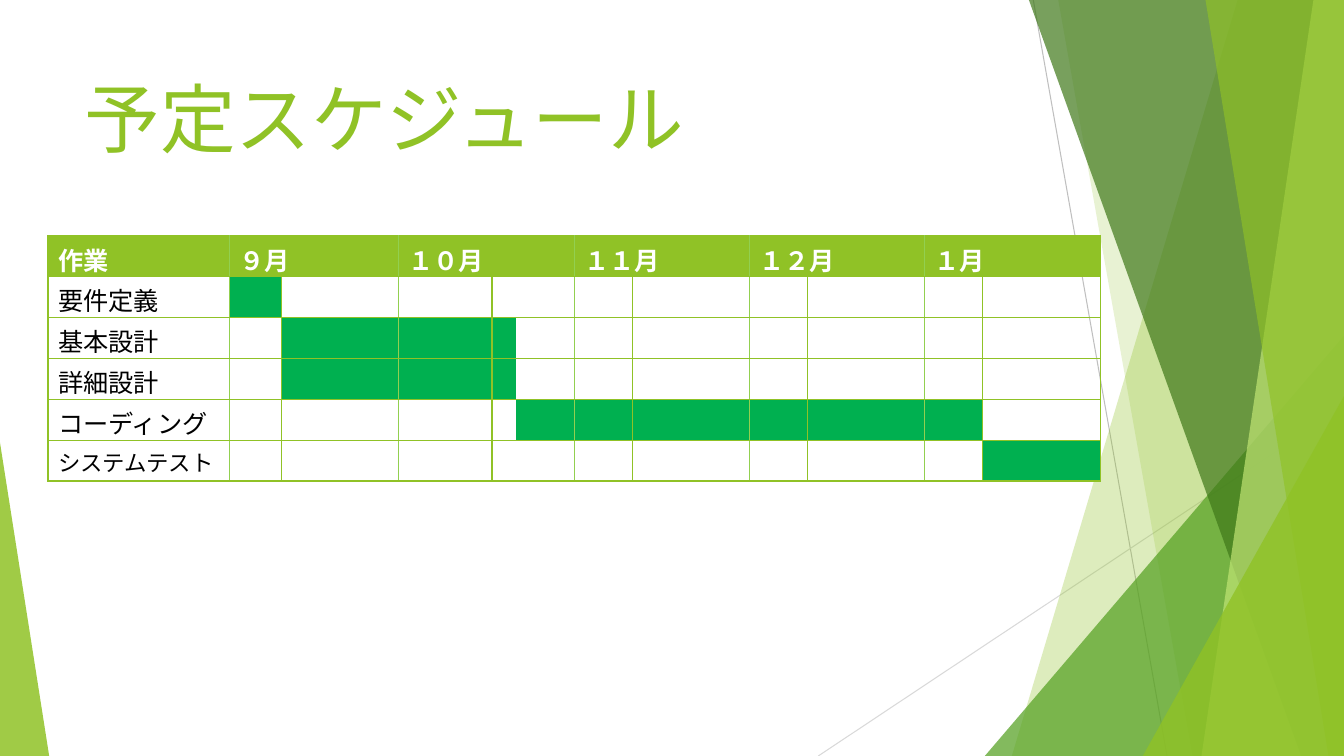
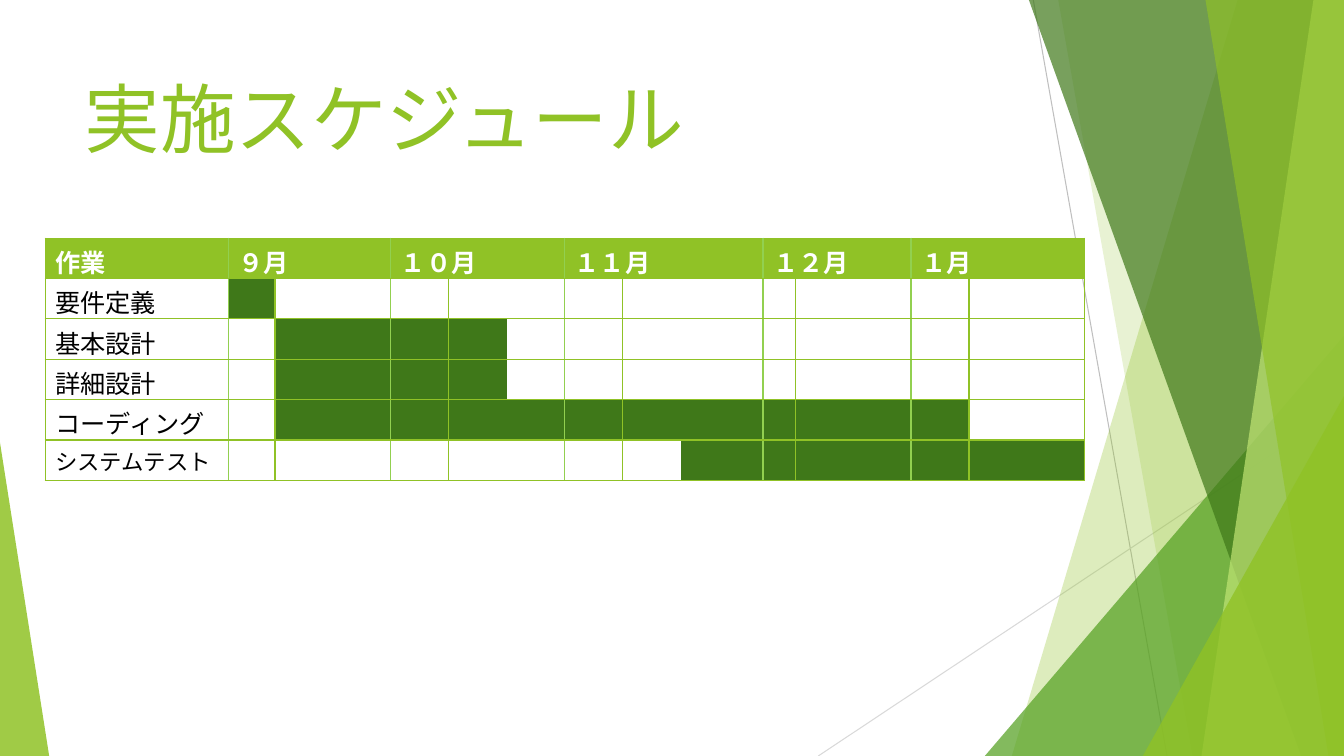
from lxml import etree
from pptx import Presentation
from pptx.dml.color import RGBColor
from pptx.enum.lang import MSO_LANGUAGE_ID
from pptx.enum.shapes import MSO_CONNECTOR, MSO_SHAPE
from pptx.enum.text import MSO_ANCHOR
from pptx.oxml.ns import qn
from pptx.util import Cm, Pt

STRAIGHT = MSO_CONNECTOR.STRAIGHT
TRIANGLE = MSO_SHAPE.ISOSCELES_TRIANGLE
TOP = MSO_ANCHOR.TOP
JAPANESE = MSO_LANGUAGE_ID.JAPANESE

LIME = RGBColor(0x90, 0xC2, 0x26)
GREEN = RGBColor(0x54, 0xA0, 0x21)
DARK_GREEN = RGBColor(0x3F, 0x78, 0x19)
PALE_LIME = RGBColor(0xC0, 0xE4, 0x74)
MONTH_LINE = RGBColor(0x92, 0xD0, 0x50)
PLAN_BAR = RGBColor(0x00, 0xB0, 0x50)
GRAY = RGBColor(0xBF, 0xBF, 0xBF)
LIGHT_GRAY = RGBColor(0xD9, 0xD9, 0xD9)
WHITE = RGBColor(0xFF, 0xFF, 0xFF)
BLACK = RGBColor(0x00, 0x00, 0x00)

FONT = "Noto Sans"
WIDTH, HEIGHT = 33.87, 19.05
MONTHS = ["９月", "１０月", "１１月", "１２月", "１月"]
PARTS = 3  # columns in a month
TASKS = [("要件定義", 18), ("基本設計", 18), ("詳細設計", 18),
         ("コーディング", 18), ("システムテスト", 16)]


class Deck:
    """Holds the shared style and the current slide."""

    def __init__(self):
        """Start a widescreen presentation."""
        self.prs = Presentation()
        self.prs.slide_width, self.prs.slide_height = Cm(WIDTH), Cm(HEIGHT)
        self.slide = None

    def new_slide(self, title):
        """Add a slide with the shared facets and a title."""
        self.slide = self.prs.slides.add_slide(self.prs.slide_layouts[6])
        self.facets()
        self.title(title)

    def facets(self):
        """Draw the overlapping facets, back to front."""
        self.line(26.04, 0, 29.41, HEIGHT, GRAY)
        self.line(WIDTH, 10.24, 20.62, HEIGHT, LIGHT_GRAY)
        self.band(31.19, 25.5, LIME, 30)
        self.band(26.67, 30.05, LIME, 20)
        self.triangle(24.82, 8.46, 9.05, 1, GREEN, 72)
        self.band(25.93, 32.79, DARK_GREEN, 70)
        self.band(33.1, 30.28, PALE_LIME, 70)
        self.band(30.38, 33.48, LIME, 65)
        self.triangle(28.8, 9.98, 5.07, 1, LIME, 80)
        self.triangle(0, 11.15, 1.24, 0, LIME, 85)

    def line(self, x1, y1, x2, y2, color):
        """Draw a thin straight line."""
        line = self.slide.shapes.add_connector(
            STRAIGHT, Cm(x1), Cm(y1), Cm(x2), Cm(y2))
        line.line.color.rgb, line.line.width = color, Pt(0.75)
        etree.SubElement(line._element.spPr, qn("a:effectLst"))

    def band(self, top_x, bottom_x, color, opacity):
        """Fill from a slanted left edge to the right side of the slide."""
        outline = self.slide.shapes.build_freeform(Cm(top_x), Cm(0))
        outline.add_line_segments([(Cm(WIDTH), Cm(0)), (Cm(WIDTH), Cm(HEIGHT)),
                                   (Cm(bottom_x), Cm(HEIGHT))])
        self.paint(outline.convert_to_shape(), color, opacity)

    def triangle(self, left, top, width, apex, color, opacity):
        """Draw a triangle that stands on the bottom of the slide."""
        facet = self.slide.shapes.add_shape(
            TRIANGLE, Cm(left), Cm(top), Cm(width), Cm(HEIGHT - top))
        facet.adjustments[0] = apex
        self.paint(facet, color, opacity)

    def paint(self, facet, color, opacity):
        """Give a facet a translucent fill, no line and no shadow."""
        facet.shadow.inherit = False
        facet.line.fill.background()
        facet.fill.solid()
        facet.fill.fore_color.rgb = color
        tint = facet._element.spPr.find(qn("a:solidFill"))[0]
        etree.SubElement(tint, qn("a:alpha"), val=str(opacity * 1000))

    def add_text(self, frame, text, size, color, bold=False):
        """Add a run to the first paragraph of a text frame."""
        run = frame.paragraphs[0].add_run()
        run.text = text
        font = run.font
        font.name, font.size, font.bold = FONT, Pt(size), bold
        font.color.rgb, font.language_id = color, JAPANESE

    def title(self, text):
        """Add the slide title."""
        frame = self.slide.shapes.add_textbox(
            Cm(1.88), Cm(1.7), Cm(23.88), Cm(3.66)).text_frame
        frame.word_wrap, frame.vertical_anchor = True, TOP
        self.add_text(frame, text, 54, LIME)

    def border(self, cell, side, color):
        """Set one side of a cell; a color of None leaves it unruled."""
        edge = etree.SubElement(cell._tc.get_or_add_tcPr(),
                                qn(f"a:ln{side}"), w=str(Pt(1)))
        if color is None:
            etree.SubElement(edge, qn("a:noFill"))
        else:
            fill = etree.SubElement(edge, qn("a:solidFill"))
            etree.SubElement(fill, qn("a:srgbClr"), val=str(color))

    def edge_color(self, edge, edges):
        """Color of the vertical rule at a column edge, counted from the left."""
        if edge in (0, edges):
            return LIME
        part = (edge - 1) % PARTS
        return (MONTH_LINE, LIME, None)[part]

    def schedule(self, left, top, row_height, widths, bars, bar_color):
        """Add the schedule table; bars give first and last column per task."""
        rows, columns = len(TASKS) + 1, len(widths)
        table = self.slide.shapes.add_table(
            rows, columns, Cm(left), Cm(top), Cm(sum(widths)),
            Cm(row_height * rows)).table
        table.first_row = table.horz_banding = False
        for column, width in zip(table.columns, widths):
            column.width = Cm(width)
        for row in range(rows):
            first, last = bars[row - 1] if row else (0, columns)
            for column in range(columns):
                cell = table.cell(row, column)
                self.border(cell, "L", self.edge_color(column, columns))
                self.border(cell, "R", self.edge_color(column + 1, columns))
                self.border(cell, "T", LIME)
                self.border(cell, "B", LIME)
                if first <= column <= last:
                    cell.fill.solid()
                    cell.fill.fore_color.rgb = bar_color if row else LIME
                else:
                    cell.fill.background()
                if row and column:
                    self.size_empty(cell)
        self.add_text(table.cell(0, 0).text_frame, "作業", 18, WHITE, True)
        for index, month in enumerate(MONTHS):
            start = 1 + index * PARTS
            heading = table.cell(0, start)
            heading.merge(table.cell(0, start + PARTS - 1))
            self.add_text(heading.text_frame, month, 18, WHITE, True)
        for row, (task, size) in enumerate(TASKS, 1):
            self.add_text(table.cell(row, 0).text_frame, task, size, BLACK)

    def size_empty(self, cell):
        """Set the font that gives an empty cell its height."""
        paragraph = cell.text_frame.paragraphs[0]._p
        end = etree.SubElement(paragraph, qn("a:endParaRPr"), sz="1800")
        etree.SubElement(end, qn("a:latin"), typeface=FONT)


deck = Deck()

deck.new_slide("予定スケジュール")
deck.schedule(
    1.21, 5.94, 1.03,
    [4.57, 1.32] + [1.47] * 2 + [2.36, 0.59] + [1.47] * 8 + [0.59, 2.36],
    [(1, 1), (2, 5), (2, 5), (6, 13), (14, 15)], PLAN_BAR)

deck.new_slide("実施スケジュール")
deck.schedule(
    1.14, 6, 0.92,
    [4.62, 1.17] + [1.46] * 7 + [2.08, 0.81] + [1.46] * 5,
    [(1, 1), (2, 5), (2, 5), (2, 13), (9, 15)], DARK_GREEN)

deck.prs.save("out.pptx")
